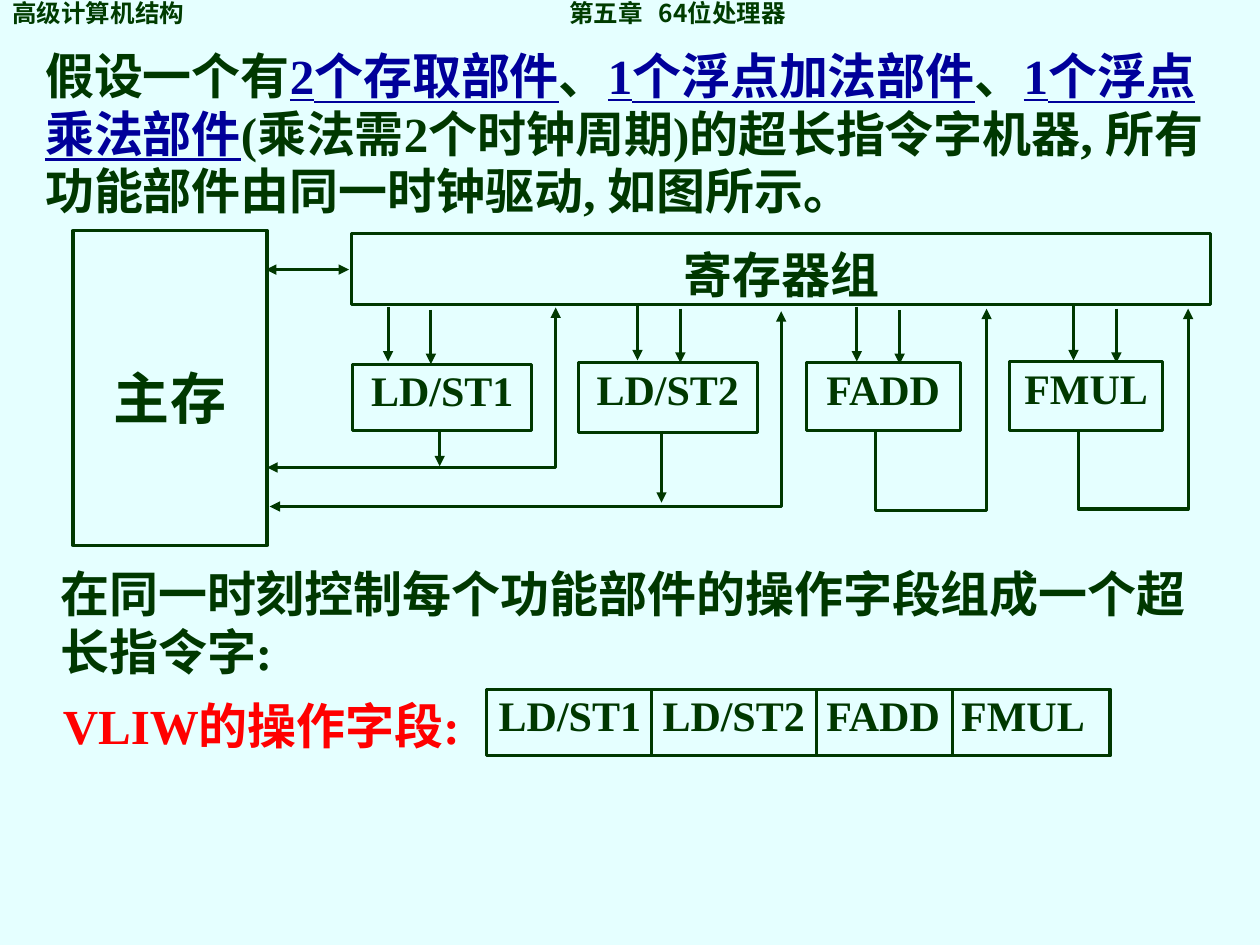
from pptx import Presentation, util as u
from pptx.dml.color import RGBColor
from pptx.enum import shapes, text
from pptx.oxml.ns import qn
from lxml import etree

INK = RGBColor(0x00, 0x38, 0x00)
HEADER_INK = RGBColor(0x00, 0x3C, 0x00)
BLUE = RGBColor(0x00, 0x00, 0x9A)
RED = RGBColor(0xFF, 0x00, 0x00)
BACKGROUND = RGBColor(0xE5, 0xFF, 0xFF)
LATIN, CJK = "Times New Roman", "Noto Sans CJK SC"


class Painter:
    """Holds the slide and the shared style of its elements."""

    def __init__(self, page):
        self.page = page

    def fill_text(self, box, spans, size, spacing, color=INK, font=LATIN,
                  top=0.1, align=text.PP_ALIGN.LEFT,
                  anchor=text.MSO_ANCHOR.TOP, tabs=()):
        """Fill a box with one paragraph of (wording, highlighted) spans."""
        frame = box.text_frame
        frame.word_wrap = True
        frame.vertical_anchor = anchor
        frame.margin_left = frame.margin_right = u.Inches(0.1)
        frame.margin_top, frame.margin_bottom = u.Inches(top), u.Inches(0.05)
        para = frame.paragraphs[0]
        para.alignment = align
        para.line_spacing = spacing
        props = para._p.get_or_add_pPr()
        if tabs:
            stops = etree.SubElement(props, qn("a:tabLst"))
            for stop in tabs:
                etree.SubElement(stops, qn("a:tab"),
                                 pos=str(u.Inches(stop)), algn="l")
        para.font.size, para.font.bold, para.font.name = u.Pt(size), True, font
        etree.SubElement(props.find(qn("a:defRPr")), qn("a:ea"), typeface=CJK)
        for wording, highlighted in spans:
            span = para.add_run()
            span.text = wording
            span.font.color.rgb = BLUE if highlighted else color
            if highlighted:
                span.font.underline = True

    def label(self, area, spans, size, spacing, **style):
        box = self.page.shapes.add_textbox(*map(u.Inches, area))
        self.fill_text(box, spans, size, spacing, **style)

    def block(self, area, wording, size, spacing,
              align=text.PP_ALIGN.CENTER, **style):
        box = self.page.shapes.add_shape(shapes.MSO_SHAPE.RECTANGLE,
                                         *map(u.Inches, area))
        self.outline(box)
        self.fill_text(box, [(wording, False)], size, spacing, align=align,
                       **style)

    def outline(self, shape, head=False, tail=False):
        shape.shadow.inherit = False
        shape.fill.background()
        self.stroke(shape, head, tail)

    def stroke(self, shape, head=False, tail=False):
        shape.line.color.rgb = INK
        shape.line.width = u.Pt(1.75)
        for wanted, tag in ((head, "a:headEnd"), (tail, "a:tailEnd")):
            if wanted:
                etree.SubElement(shape.line._get_or_add_ln(), qn(tag),
                                 type="triangle")

    def line(self, start, end, head=False, tail=True):
        link = self.page.shapes.add_connector(
            shapes.MSO_CONNECTOR.STRAIGHT, *map(u.Inches, start + end))
        self.stroke(link, head, tail)
        etree.SubElement(link._element.spPr, qn("a:effectLst"))

    def route(self, points, head=False):
        """Draw an open bent line that ends in an arrowhead."""
        start, *rest = [tuple(map(u.Inches, point)) for point in points]
        builder = self.page.shapes.build_freeform(*start)
        builder.add_line_segments(rest, close=False)
        self.outline(builder.convert_to_shape(), head, tail=True)


def main():
    deck = Presentation()
    deck.slide_width, deck.slide_height = u.Inches(10), u.Inches(7.5)
    page = deck.slides.add_slide(deck.slide_layouts[6])
    page.background.fill.solid()
    page.background.fill.fore_color.rgb = BACKGROUND
    painter = Painter(page)
    body = {"size": 28, "spacing": u.Pt(33)}

    # Introduction
    painter.label((0.26, 0.27, 9.58, 1.5), [
        ("假设一个有", False), ("2个存取部件", True), ("、", False),
        ("1个浮点加法部件", True), ("、", False), ("1个浮点乘法部件", True),
        ("(乘法需2个时钟周期)的超长指令字机器, 所有功能部件由同一时钟驱动, 如图所示。",
         False)], **body)

    # Main memory and registers
    painter.block((0.58, 1.83, 1.54, 2.5), "主存", 32, u.Pt(38), top=0.2,
                  anchor=text.MSO_ANCHOR.MIDDLE)
    painter.block((2.79, 1.85, 6.82, 0.57), "寄存器组", **body)
    painter.line((2.11, 2.14), (2.77, 2.14), head=True)

    # Functional units, each with two operand arrows
    units = [("LD/ST1", 2.8, 2.89, 1.42, 0.53, 3.08, 2.44),
             ("LD/ST2", 4.59, 2.88, 1.42, 0.55, 5.06, 2.43),
             ("FADD", 6.4, 2.88, 1.22, 0.54, 6.8, 2.44),
             ("FMUL", 8.01, 2.87, 1.22, 0.55, 8.52, 2.43)]
    for name, left, top, width, height, feed, feed_top in units:
        painter.block((left, top, width, height), name, 24, 0.9, top=0.05)
        for x, y in ((feed, feed_top), (feed + 0.34, feed_top + 0.02)):
            painter.line((x, y), (x, y + 0.43))

    # Load/store units share a route between memory and registers
    for left, bottom, right, top, unit_x, unit_end in (
            (2.12, 3.71, 4.41, 2.44, 3.49, 3.7),
            (2.14, 4.02, 6.2, 2.47, 5.25, 3.99)):
        painter.route([(left, bottom), (right, bottom), (right, top)], head=True)
        painter.line((unit_x, 3.42), (unit_x, unit_end))

    # Arithmetic results return to the registers
    for left, bottom, right in ((6.95, 4.05, 7.83), (8.56, 4.04, 9.43)):
        painter.route([(left, 3.43), (left, bottom), (right, bottom),
                       (right, 2.45)])

    # Instruction word and its fields
    painter.label((0.38, 4.38, 9.32, 1.04),
                  [("在同一时刻控制每个功能部件的操作字段组成一个超长指令字:", False)],
                  **body)
    painter.label((0.4, 5.43, 4.41, 0.57), [("VLIW的操作字段:", False)],
                  color=RED, **body)
    painter.block((3.86, 5.47, 4.95, 0.53),
                  "\t".join(name for name, *_ in units), 24, 0.9, top=0.05,
                  align=text.PP_ALIGN.LEFT, tabs=(1.3, 2.6, 3.67))
    for x in (5.17, 6.48, 7.56):
        painter.line((x, 5.48), (x, 5.99), tail=False)

    # Page header
    painter.label((0, -0.06, 10.04, 0.31),
                  [("高级计算机结构\t第五章\t64位处理器", False)], 14, u.Pt(15),
                  color=HEADER_INK, font=CJK, top=0.07, tabs=(4.42, 5.13))

    deck.save("out.pptx")


if __name__ == "__main__":
    main()
